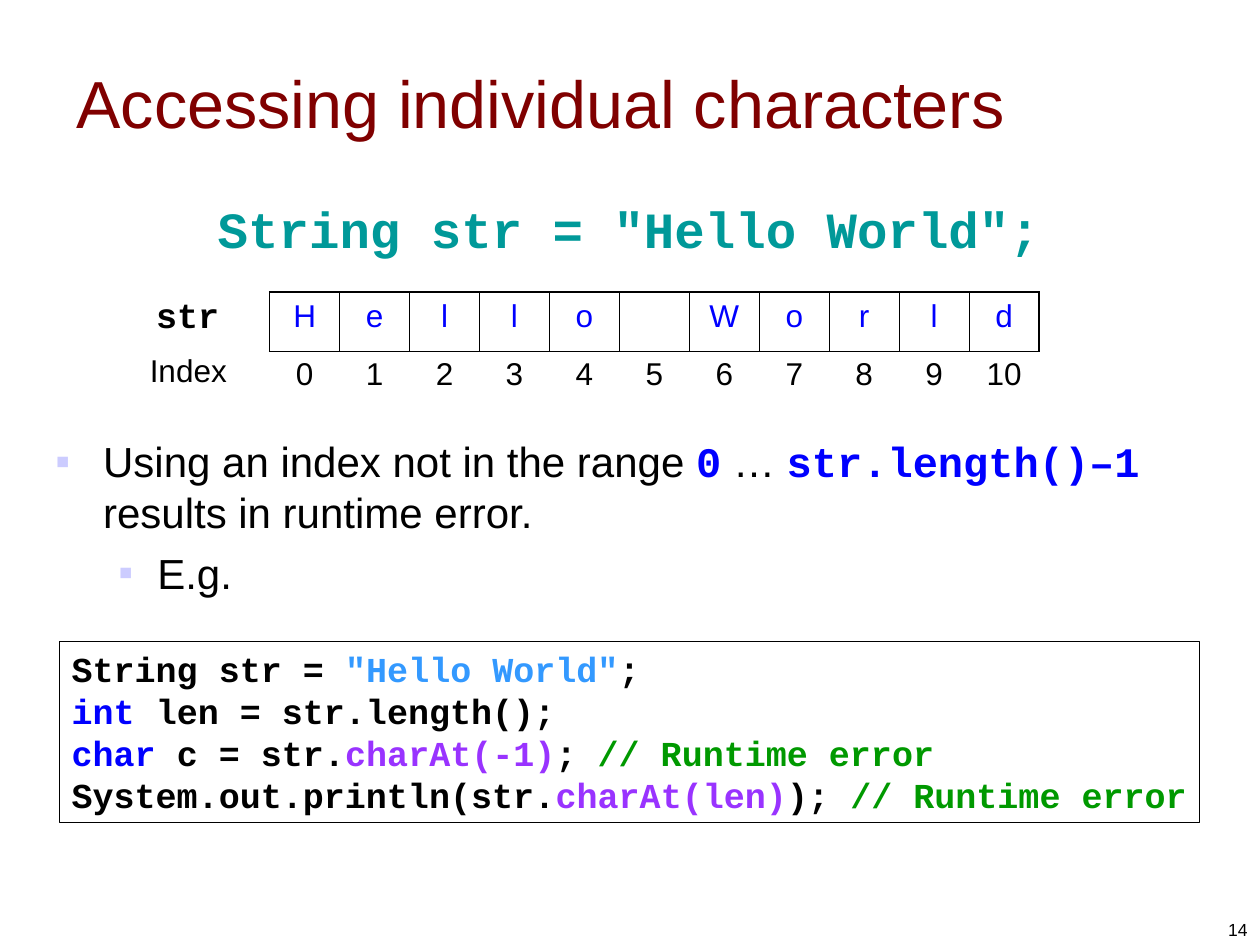
from dataclasses import dataclass

from lxml import etree
from pptx import Presentation
from pptx import util as u
from pptx.dml.color import RGBColor
from pptx.enum import shapes, text
from pptx.oxml import ns


@dataclass(frozen=True)
class Theme:
    sans: str = "Arial"
    mono: str = "Courier New"
    black: str = "000000"
    title: str = "800000"
    declaration: str = "009999"
    blue: str = "0000FF"
    literal: str = "3399FF"
    call: str = "9933FF"
    comment: str = "009900"
    bullet: str = "CCCCFF"
    title_size: float = 38
    declaration_size: float = 29
    body_size: float = 24
    code_size: float = 20
    cell_size: float = 18
    number_size: float = 10
    outer_line: float = 1.08
    inner_line: float = 0.45
    box_line: float = 0.75


T = Theme()
NO_STYLE = "{2D5ABB26-0587-4C30-8999-92F81FD0307C}"
MARGINS = {
    "margin_left": u.Inches(0.1),
    "margin_right": u.Inches(0.1),
    "margin_top": u.Inches(0.05),
    "margin_bottom": u.Inches(0.05),
}


def set_values(obj, values):
    for name, value in values.items():
        setattr(obj, name, value)


def add_run(p, content, size, color=T.black, font=T.sans, bold=False):
    r = p.add_run()
    r.text = content
    set_values(r.font, {"name": font, "size": u.Pt(size), "bold": bold})
    r.font.color.rgb = RGBColor.from_string(color)


def format_frame(tf, **values):
    set_values(tf, {**MARGINS, "word_wrap": True,
                    "vertical_anchor": text.MSO_ANCHOR.TOP, **values})


def add_text(s, box, **values):
    sp = s.shapes.add_textbox(*map(u.Inches, box))
    format_frame(sp.text_frame, **values)
    return sp.text_frame


def add_label(s, box, content, size, color=T.black, font=T.sans, bold=False,
              align=text.PP_ALIGN.LEFT, **values):
    p = add_text(s, box, **values).paragraphs[0]
    p.alignment = align
    add_run(p, content, size, color, font, bold)


def add_bullet(p, left, hanging):
    pPr = p._p.get_or_add_pPr()
    pPr.set("marL", str(u.Inches(left)))
    pPr.set("indent", str(-u.Inches(hanging)))
    color = etree.SubElement(pPr, ns.qn("a:buClr"))
    etree.SubElement(color, ns.qn("a:srgbClr"), val=T.bullet)
    etree.SubElement(pPr, ns.qn("a:buFont"), typeface=T.sans)
    etree.SubElement(pPr, ns.qn("a:buChar"), char="▪")


def add_border(cell, side, width):
    tcPr = cell._tc.get_or_add_tcPr()
    ln = etree.SubElement(tcPr, ns.qn(f"a:ln{side}"), w=str(u.Pt(width)))
    fill = etree.SubElement(ln, ns.qn("a:solidFill"))
    etree.SubElement(fill, ns.qn("a:srgbClr"), val=T.black)


def add_cells(s, top, height, values, color, bordered=False):
    count = len(values)
    width = u.Inches(6.11)
    frame = s.shapes.add_table(1, count, u.Inches(2.14), u.Inches(top),
                               width, u.Inches(height))
    table = frame.table
    set_values(table, {"first_row": False, "horz_banding": False})
    table._tbl.tblPr.find(ns.qn("a:tableStyleId")).text = NO_STYLE
    for i, value in enumerate(values):
        table.columns[i].width = width // count
        cell = table.cell(0, i)
        set_values(cell, MARGINS)
        if bordered:
            left = T.inner_line if i else T.outer_line
            right = T.inner_line if i < count - 1 else T.outer_line
            for side, line in zip("LRTB", (left, right, T.outer_line, T.outer_line)):
                add_border(cell, side, line)
        cell.fill.background()
        p = cell.text_frame.paragraphs[0]
        p.alignment = text.PP_ALIGN.CENTER
        if value.strip():
            add_run(p, value, T.cell_size, color)


def add_rule(s):
    tf = add_text(s, (0.34, 3.41, 9.49, 3.53))
    p = tf.paragraphs[0]
    add_bullet(p, 0.38, 0.38)
    code = {"color": T.blue, "font": T.mono, "bold": True}
    for content, look in (
        ("Using an index not in the range ", {}),
        ("0", code),
        (" … ", {}),
        ("str.length()–1", code),
        (" results in runtime error.", {}),
    ):
        add_run(p, content, T.body_size, **look)
    p = tf.add_paragraph()
    p.level = 1
    add_bullet(p, 0.81, 0.31)
    p.space_before = u.Pt(6)
    add_run(p, "E.g.", T.body_size)


def add_code(s, box, lines):
    sp = s.shapes.add_shape(shapes.MSO_SHAPE.RECTANGLE, *map(u.Inches, box))
    sp.shadow.inherit = False
    sp.fill.background()
    sp.line.color.rgb = RGBColor.from_string(T.black)
    sp.line.width = u.Pt(T.box_line)
    tf = sp.text_frame
    format_frame(tf, word_wrap=False, auto_size=text.MSO_AUTO_SIZE.SHAPE_TO_FIT_TEXT)
    for i, line in enumerate(lines):
        p = tf.add_paragraph() if i else tf.paragraphs[0]
        p.alignment = text.PP_ALIGN.LEFT
        for content, color in line:
            add_run(p, content, T.code_size, color, T.mono, True)


def main():
    prs = Presentation()
    set_values(prs, {"slide_width": u.Inches(10), "slide_height": u.Inches(7.5)})
    s = prs.slides.add_slide(prs.slide_layouts[6])

    add_label(s, (0.51, 0.18, 9, 1.25), "Accessing individual characters",
              T.title_size, T.title, vertical_anchor=text.MSO_ANCHOR.MIDDLE)
    add_rule(s)

    greeting = "Hello World"
    add_cells(s, 2.32, 0.47, greeting, T.blue, bordered=True)
    add_cells(s, 2.78, 0.4, [str(i) for i in range(len(greeting))], T.black)
    add_label(s, (1.09, 2.74, 0.92, 0.55), "Index", T.cell_size)
    add_label(s, (1.63, 1.52, 6.9, 0.59), 'String str = "Hello World";',
              T.declaration_size, T.declaration, T.mono, True)
    add_label(s, (1.14, 2.28, 0.92, 0.55), "str", T.code_size, font=T.mono, bold=True)

    error = ("// Runtime error", T.comment)
    add_code(s, (0.47, 5.09, 9.05, 1.44), (
        (("String str = ", T.black), ('"Hello World"', T.literal), (";", T.black)),
        (("int", T.blue), (" len = str.length();", T.black)),
        (("char", T.blue), (" c = str.", T.black), ("charAt(-1)", T.call),
         ("; ", T.black), error),
        (("System.out.println(str.", T.black), ("charAt(len)", T.call),
         ("); ", T.black), error),
    ))
    add_label(s, (7.67, 7.01, 2.33, 0.5), "14", T.number_size,
              align=text.PP_ALIGN.RIGHT, vertical_anchor=text.MSO_ANCHOR.BOTTOM)
    prs.save("out.pptx")


if __name__ == "__main__":
    main()
